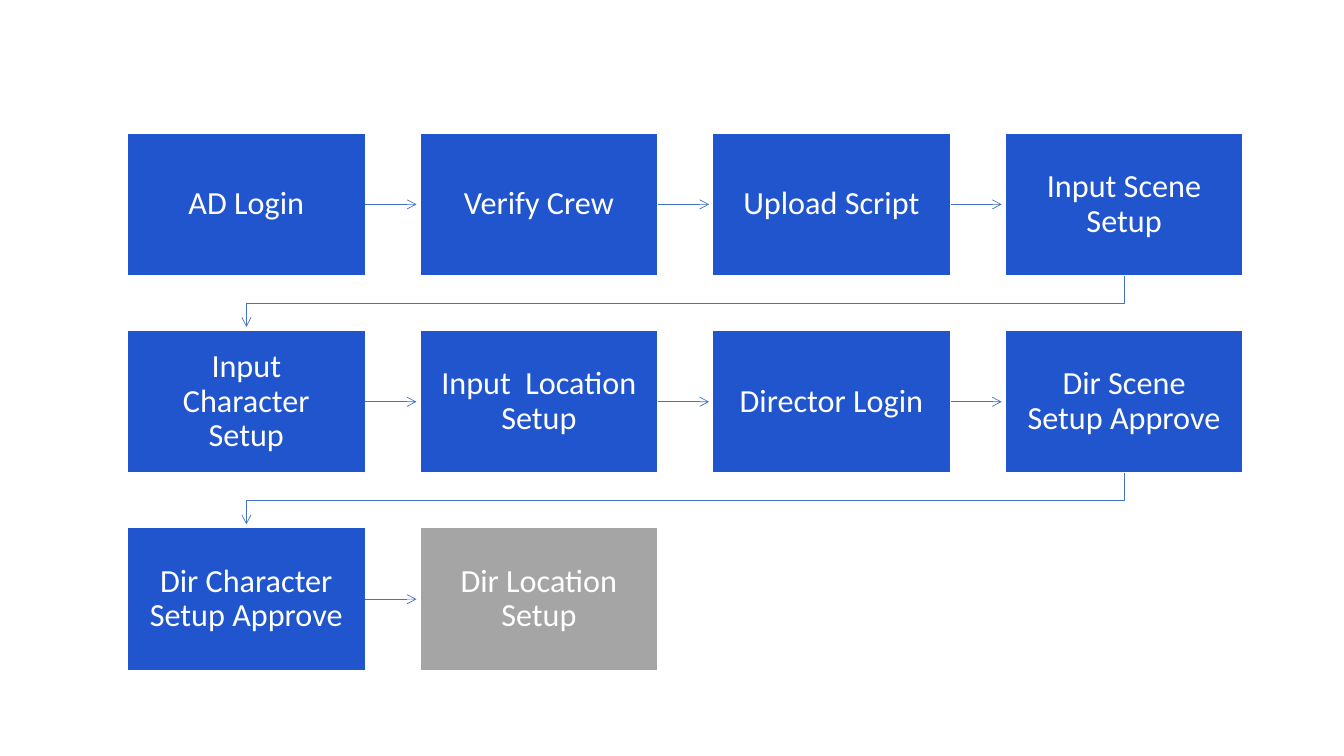
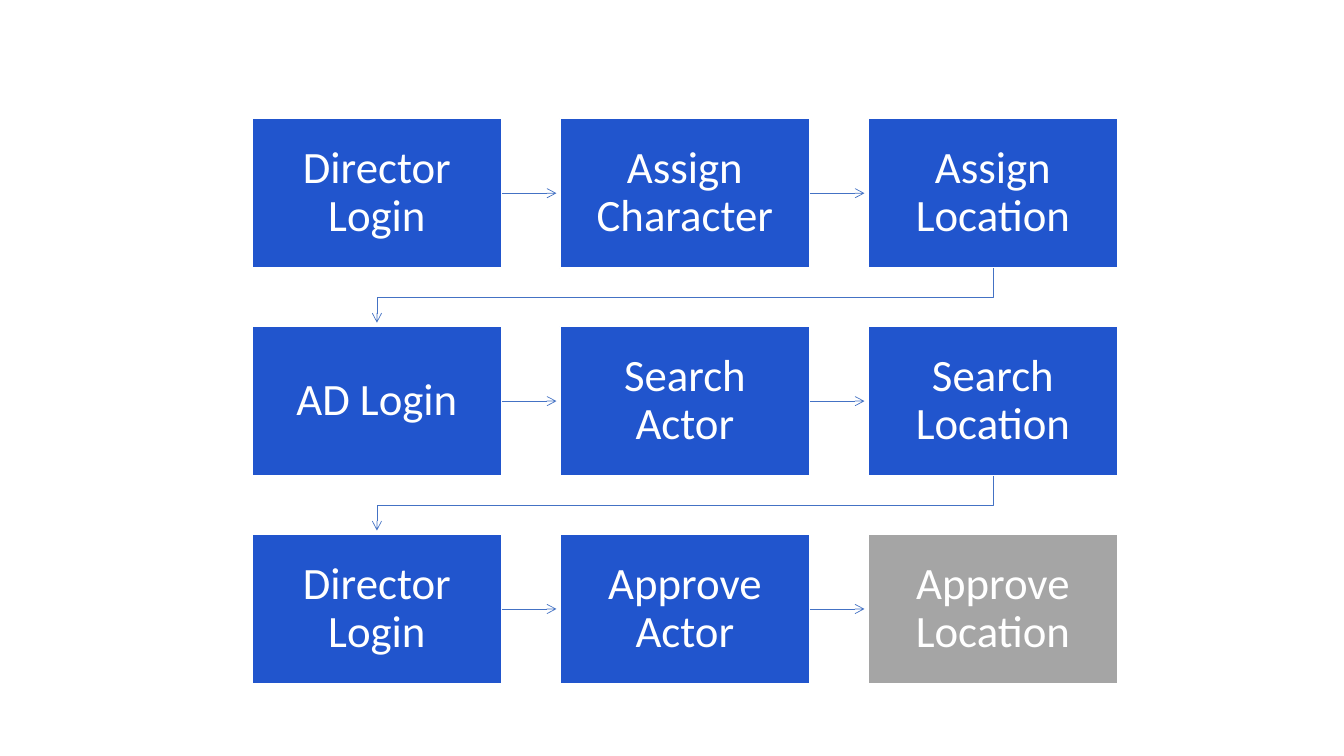
from lxml.etree import SubElement
from pptx import Presentation
from pptx.dml.color import RGBColor
from pptx.enum.shapes import MSO_CONNECTOR, MSO_SHAPE
from pptx.enum.text import MSO_ANCHOR, PP_ALIGN
from pptx.oxml.ns import qn
from pptx.util import Pt

BLUE = RGBColor(0x21, 0x55, 0xCD)
GRAY = RGBColor(0xA5, 0xA5, 0xA5)
WHITE = RGBColor(0xFF, 0xFF, 0xFF)
ARROW_BLUE = RGBColor(0x44, 0x72, 0xC4)
FONT = "Calibri"
ARROW_CLEARANCE = 2.5
RIGHT_SIDE = 3

SCRIPT_SETUP_STEPS = [
    "AD Login", "Verify Crew", "Upload Script", "Input Scene Setup",
    "Input Character Setup", "Input  Location Setup", "Director Login",
    "Dir Scene Setup Approve", "Dir Character Setup Approve",
    "Dir Location Setup",
]
CASTING_STEPS = [
    "Director Login", "Assign Character", "Assign Location",
    "AD Login", "Search Actor", "Search Location",
    "Director Login", "Approve Actor", "Approve Location",
]


def write_text(shape, text, size, inset, color=WHITE):
    frame = shape.text_frame
    frame.word_wrap = True
    frame.vertical_anchor = MSO_ANCHOR.MIDDLE
    frame.margin_left = frame.margin_right = Pt(inset)
    frame.margin_top = frame.margin_bottom = Pt(inset)
    paragraph = frame.paragraphs[0]
    paragraph.alignment = PP_ALIGN.CENTER
    paragraph.line_spacing = 0.9
    run = paragraph.add_run()
    run.text = text
    run.font.name = FONT
    run.font.size = Pt(size)
    run.font.color.rgb = color


def add_step(slide, text, left, top, width, height, fill, size, inset):
    box = slide.shapes.add_shape(
        MSO_SHAPE.RECTANGLE, Pt(left), Pt(top), Pt(width), Pt(height))
    box.shadow.inherit = False
    box.fill.solid()
    box.fill.fore_color.rgb = fill
    box.line.color.rgb = WHITE
    box.line.width = Pt(1)
    write_text(box, text, size=size, inset=inset)
    return box


def style_arrow(arrow):
    arrow.line.color.rgb = ARROW_BLUE
    arrow.line.width = Pt(0.5)
    SubElement(arrow.line._get_or_add_ln(), qn("a:tailEnd"), type="arrow")


def add_arrow_to_next(slide, box, gap):
    start = box.left + box.width
    middle = box.top + box.height // 2
    arrow = slide.shapes.add_connector(
        MSO_CONNECTOR.STRAIGHT, start, middle,
        start + Pt(gap - ARROW_CLEARANCE), middle)
    arrow.begin_connect(box, RIGHT_SIDE)
    style_arrow(arrow)
    SubElement(arrow._element.spPr, qn("a:effectLst"))


def add_arrow_to_next_row(slide, last_box, first_box, gap):
    """Lead from below the last box of a row to above the first of the next."""
    start_x = last_box.left + last_box.width // 2
    end_x = first_box.left + first_box.width // 2
    start_y = last_box.top + last_box.height
    bend_y = start_y + Pt(gap / 2)
    end_y = first_box.top - Pt(ARROW_CLEARANCE)
    builder = slide.shapes.build_freeform(start_x, start_y)
    builder.add_line_segments(
        [(start_x, bend_y), (end_x, bend_y), (end_x, end_y)], close=False)
    arrow = builder.convert_to_shape()
    arrow.shadow.inherit = False
    arrow.fill.background()
    style_arrow(arrow)


def add_process_slide(presentation, steps, columns, left, top, width, height,
                      gap, size, inset):
    """Lay the steps out row by row, with the last one gray."""
    slide = presentation.slides.add_slide(presentation.slide_layouts[6])
    boxes = []
    for index, text in enumerate(steps):
        row, column = divmod(index, columns)
        fill = GRAY if index == len(steps) - 1 else BLUE
        boxes.append(add_step(
            slide, text, left + column * (width + gap),
            top + row * (height + gap), width, height, fill, size, inset))
    for index, (box, next_box) in enumerate(zip(boxes, boxes[1:]), start=1):
        if index % columns:
            add_arrow_to_next(slide, box, gap)
        else:
            add_arrow_to_next_row(slide, box, next_box, gap)


def main():
    presentation = Presentation()
    presentation.slide_width = Pt(960)
    presentation.slide_height = Pt(540)
    add_process_slide(
        presentation, SCRIPT_SETUP_STEPS, columns=4, left=91, top=95,
        width=170, height=102, gap=39, size=23, inset=13)
    add_process_slide(
        presentation, CASTING_STEPS, columns=3, left=180, top=84.5,
        width=178.5, height=107, gap=41.5, size=32, inset=18)
    presentation.save("out.pptx")


if __name__ == "__main__":
    main()
